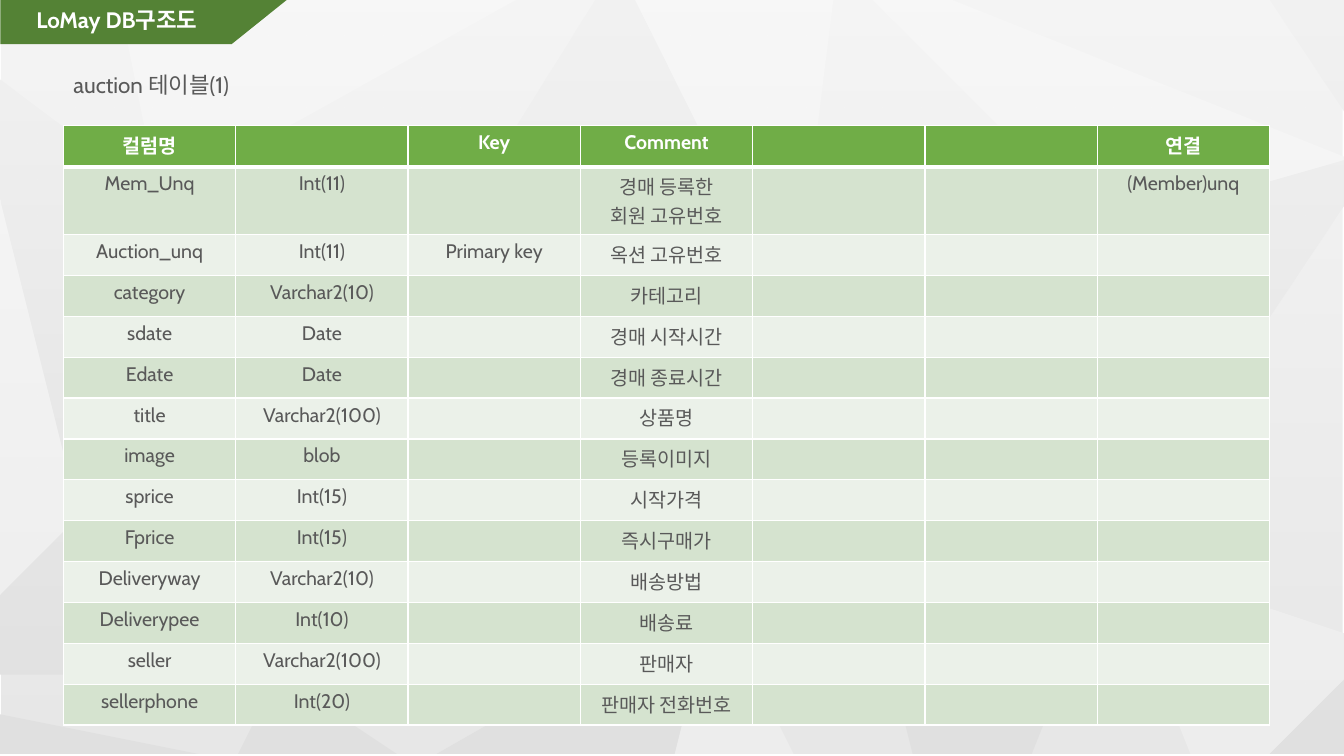
from dataclasses import dataclass

from lxml import etree
from pptx import Presentation
from pptx.dml.color import RGBColor
from pptx.enum import shapes, text
from pptx.oxml import parse_xml
from pptx.oxml.ns import nsdecls, qn
from pptx.util import Cm, Pt


@dataclass(frozen=True)
class Theme:
    font: str = "Cabin"
    heading_size: int = 16
    table_size: int = 14
    white: str = "FFFFFF"
    ink: str = "595959"
    banner: str = "548235"
    header: str = "70AD47"
    bands: tuple = ("D5E3CF", "EBF1E9")
    backdrop: str = "E7E7E7"
    light_facet: str = "EDEDED"
    dark_facet: str = "E0E0E0"


WIDTH, HEIGHT = 33.87, 19.05

# Corners shared by neighbouring background facets, in centimetres
CENTER, UPPER, LEFT_HUB = (17.65, 14.73), (20.09, 7.8), (9.83, 8.31)
LOWER, RIGHT_HUB = (21.72, 14.66), (28.4, 13.77)
WEST, NORTHWEST, SOUTHWEST = (2.36, 13.26), (4.47, 4.72), (6.68, 17.32)
EDGE_TOP, EDGE_BOTTOM = (0, 5.49), (0, 14.55)
EAST, SOUTHEAST = (WIDTH, 4.09), (WIDTH, 16.54)

LIGHT_FACETS = [
    [CENTER, (16.89, HEIGHT), (20.32, HEIGHT)],
    [UPPER, CENTER, LOWER],
    [RIGHT_HUB, (29.79, HEIGHT), (31.67, HEIGHT), SOUTHEAST, (WIDTH, 16.08)],
    [EDGE_TOP, EDGE_BOTTOM, WEST],
    [(22.35, 0), (27.79, 5.74), EAST, (WIDTH, 3.91), (24.03, 0)],
    [WEST, LEFT_HUB, NORTHWEST],
    [(3.1, 0), NORTHWEST, (13.49, 0)],
    [(15.67, 0), UPPER, (21.21, 0)],
]
DARK_FACETS = [
    [WEST, EDGE_BOTTOM, (0, 17.15), SOUTHWEST],
    [SOUTHWEST, (6.12, HEIGHT), (10.41, HEIGHT)],
    [SOUTHEAST, (31.67, HEIGHT), (WIDTH, HEIGHT)],
    [(0, 18.03), (0, HEIGHT), (4.57, HEIGHT)],
    [RIGHT_HUB, LOWER, (22.71, HEIGHT), (26.39, HEIGHT)],
    [CENTER, (11.3, HEIGHT), (16.89, HEIGHT)],
    [EAST, UPPER, RIGHT_HUB, (WIDTH, 4.67)],
    [CENTER, LEFT_HUB, SOUTHWEST],
    [(32.13, 0), (WIDTH, 3.43), (WIDTH, 0)],
    [(0, 1.75), EDGE_TOP, WEST, NORTHWEST],
    [(14.66, 0), LEFT_HUB, UPPER, (15.67, 0)],
]

HEADER = ["컬럼명", "", "Key", "Comment", "", "", "연결"]
# Column name, type, key, comment, linked column
COLUMNS = [
    ("Mem_Unq", "Int(11)", "", "경매 등록한\n회원 고유번호", "(Member)unq"),
    ("Auction_unq", "Int(11)", "Primary key", "옥션 고유번호", ""),
    ("category", "Varchar2(10)", "", "카테고리", ""),
    ("sdate", "Date", "", "경매 시작시간", ""),
    ("Edate", "Date", "", "경매 종료시간", ""),
    ("title", "Varchar2(100)", "", "상품명", ""),
    ("image", "blob", "", "등록이미지", ""),
    ("sprice", "Int(15)", "", "시작가격", ""),
    ("Fprice", "Int(15)", "", "즉시구매가", ""),
    ("Deliveryway", "Varchar2(10)", "", "배송방법", ""),
    ("Deliverypee", "Int(10)", "", "배송료", ""),
    ("seller", "Varchar2(100)", "", "판매자", ""),
    ("sellerphone", "Int(20)", "", "판매자 전화번호", ""),
]


class SlideBuilder:
    def __init__(self, slide, theme):
        self.slide = slide
        self.theme = theme

    def paint(self, shape, color):
        shape.shadow.inherit = False
        shape.fill.solid()
        shape.fill.fore_color.rgb = RGBColor.from_string(color)
        shape.line.fill.background()

    def set_text(self, frame, content, size, color, bold=False,
                 align=text.PP_ALIGN.LEFT):
        frame.text = content
        for paragraph in frame.paragraphs:
            paragraph.alignment = align
            font = paragraph.font
            font.name, font.size, font.bold = self.theme.font, Pt(size), bold
            font.color.rgb = RGBColor.from_string(color)

    def preset(self, kind, left, top, width, height, color):
        shape = self.slide.shapes.add_shape(
            kind, Cm(left), Cm(top), Cm(width), Cm(height))
        self.paint(shape, color)
        return shape

    def facet(self, points, color):
        builder = self.slide.shapes.build_freeform(*points[0], scale=Cm(1))
        builder.add_line_segments(points[1:], close=True)
        self.paint(builder.convert_to_shape(), color)

    def veil(self):
        """Cover the slide with white that fades out downwards."""
        shape = self.preset(shapes.MSO_SHAPE.RECTANGLE, 0, 0, WIDTH, HEIGHT,
                            self.theme.white)
        stops = "".join(
            f'<a:gs pos="{position}"><a:srgbClr val="{self.theme.white}">'
            f'<a:alpha val="{alpha}"/></a:srgbClr></a:gs>'
            for position, alpha in ((0, 60000), (100000, 0)))
        gradient = parse_xml(
            f'<a:gradFill {nsdecls("a")}><a:gsLst>{stops}</a:gsLst>'
            '<a:lin ang="5400000" scaled="0"/></a:gradFill>')
        properties = shape.element.spPr
        properties.replace(properties.find(qn("a:solidFill")), gradient)

    def background(self):
        theme = self.theme
        self.preset(shapes.MSO_SHAPE.RECTANGLE, 0.03, 0, 33.81, 19,
                    theme.backdrop)
        for color, facets in ((theme.light_facet, LIGHT_FACETS),
                              (theme.dark_facet, DARK_FACETS)):
            for points in facets:
                self.facet(points, color)
        self.veil()

    def title(self, content):
        banner = self.preset(shapes.MSO_SHAPE.FLOWCHART_MANUAL_INPUT,
                             3.07, -3.12, 1.17, 7.29, self.theme.banner)
        banner.rotation = 90
        banner.element.spPr.find(qn("a:xfrm")).set("flipH", "1")

        title = self.slide.shapes.title
        title.left, title.top = Cm(0.66), Cm(-0.03)
        title.width, title.height = Cm(5.44), Cm(1.14)
        frame = title.text_frame
        frame.auto_size = text.MSO_AUTO_SIZE.NONE
        frame.vertical_anchor = text.MSO_ANCHOR.MIDDLE
        self.set_text(frame, content, self.theme.heading_size,
                      self.theme.white, bold=True)
        frame.paragraphs[0].line_spacing = 0.9
        banner.element.addnext(title.element)

    def label(self, content, left, top, width, height):
        box = self.slide.shapes.add_textbox(
            Cm(left), Cm(top), Cm(width), Cm(height))
        box.text_frame.word_wrap = False
        self.set_text(box.text_frame, content, self.theme.heading_size,
                      self.theme.ink)

    def borders(self, cell, top, bottom):
        properties = cell._tc.get_or_add_tcPr()
        sides = (("lnL", 1), ("lnR", 1), ("lnT", top), ("lnB", bottom))
        for index, (side, points) in enumerate(sides):
            line = etree.Element(qn(f"a:{side}"), w=str(Pt(points)))
            fill = etree.SubElement(line, qn("a:solidFill"))
            etree.SubElement(fill, qn("a:srgbClr"), val=self.theme.white)
            properties.insert(index, line)

    def table(self, rows, left, top, width, row_height, tall_height):
        theme = self.theme
        height = row_height * (len(rows) - 1) + tall_height
        table = self.slide.shapes.add_table(
            len(rows), len(rows[0]),
            Cm(left), Cm(top), Cm(width), Cm(height)).table
        table.horz_banding = False
        for row_index, values in enumerate(rows):
            is_header = row_index == 0
            is_tall = any("\n" in value for value in values)
            table.rows[row_index].height = Cm(
                tall_height if is_tall else row_height)
            band = theme.header if is_header else theme.bands[(row_index - 1) % 2]
            for column_index, value in enumerate(values):
                cell = table.cell(row_index, column_index)
                cell.fill.solid()
                cell.fill.fore_color.rgb = RGBColor.from_string(band)
                self.borders(cell, top=3 if row_index == 1 else 1,
                             bottom=3 if is_header else 1)
                self.set_text(cell.text_frame, value, theme.table_size,
                              theme.white if is_header else theme.ink,
                              bold=is_header, align=text.PP_ALIGN.CENTER)


def main():
    presentation = Presentation()
    presentation.slide_width, presentation.slide_height = Cm(WIDTH), Cm(HEIGHT)
    slide = presentation.slides.add_slide(presentation.slide_layouts[5])
    builder = SlideBuilder(slide, Theme())
    builder.background()
    builder.title("LoMay DB구조도")
    rows = [HEADER] + [[*column[:4], "", "", column[4]] for column in COLUMNS]
    builder.table(rows, left=1.6, top=3.17, width=30.4,
                  row_height=1.03, tall_height=1.71)
    builder.label("auction 테이블(1)", 1.6, 1.68, 4.78, 0.94)
    presentation.save("out.pptx")


if __name__ == "__main__":
    main()
